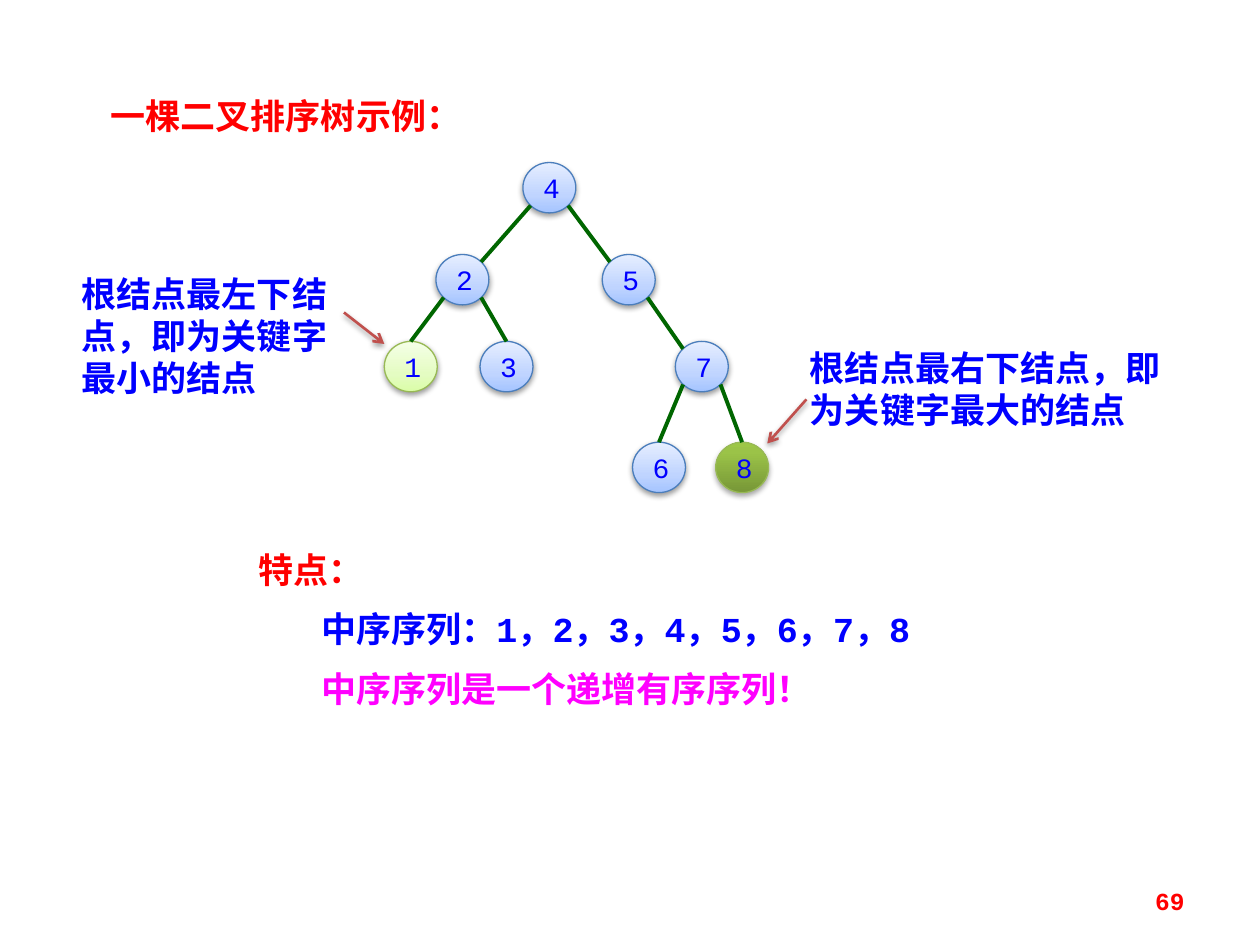
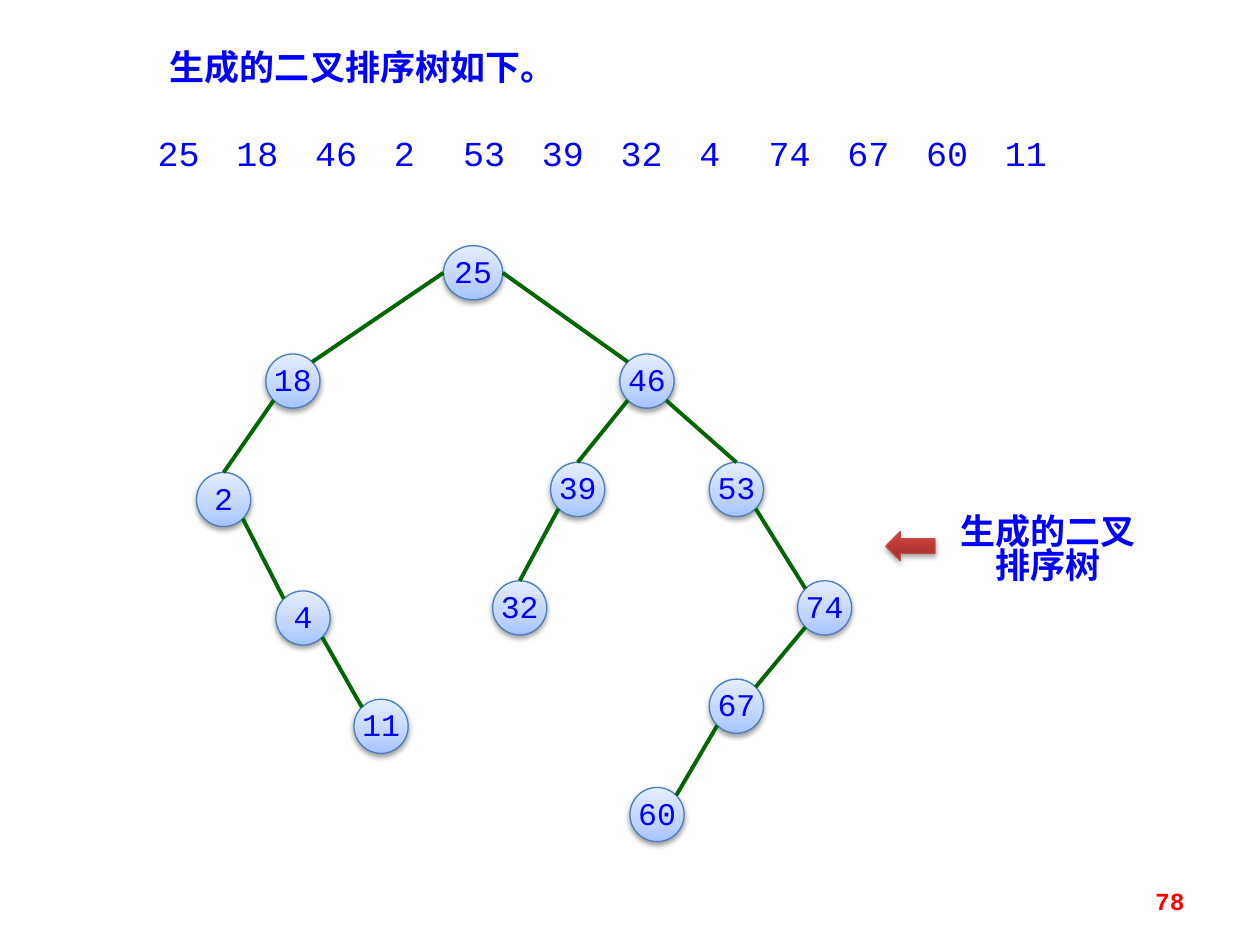
import pptx
import pptx.util
import pptx.dml.color
import pptx.enum.shapes
import pptx.enum.text
import pptx.oxml
import pptx.oxml.ns
import lxml.etree

Inches = pptx.util.Inches
Pt = pptx.util.Pt
qn = pptx.oxml.ns.qn
color = pptx.dml.color.RGBColor.from_string
Shapes = pptx.enum.shapes.MSO_SHAPE
STRAIGHT = pptx.enum.shapes.MSO_CONNECTOR.STRAIGHT
Align = pptx.enum.text.PP_ALIGN
MIDDLE = pptx.enum.text.MSO_ANCHOR.MIDDLE

LATIN, CHINESE = "Courier New", "Noto Sans CJK SC"
BLUE, RED, MAGENTA, GREEN = "0000FF", "FF0000", "FF00FF", "006600"

# Gradient stops run from the bottom upwards
SOFT_SHADOW, STRONG_SHADOW = (38, 20000), (35, 23000)
BLUE_NODE = ("4B7EBC", [(0, "A4C4FF"), (35, "BFD4FF"), (100, "E6EEFF")], SOFT_SHADOW)
LIGHT_NODE = ("98B955", [(0, "DAFDA7"), (35, "E4FCC2"), (100, "F5FFE7")], SOFT_SHADOW)
DARK_NODE = ("98B955", [(0, "779737"), (80, "9BC348"), (100, "9DC746")], STRONG_SHADOW)
RED_ARROW = ("BF4C48", [(0, "9C2F2D"), (80, "CB3E3A"), (100, "CE3B37")], STRONG_SHADOW)

# Points on a circle as fractions of its box
LOW, HIGH = 0.146, 0.854
SITES = {"top": (0.5, 0), "left": (0, 0.5), "right": (1, 0.5),
         "top left": (LOW, LOW), "top right": (HIGH, LOW),
         "bottom left": (LOW, HIGH), "bottom right": (HIGH, HIGH)}


def write(box, text, size, ink, bold=False, font=LATIN, align=Align.LEFT,
          spacing=None, side=0.1, new=False):
    """Put one paragraph into a box, or add one more when new is set."""
    frame = box.text_frame
    frame.word_wrap = True
    frame.margin_left = frame.margin_right = Inches(side)
    para = frame.add_paragraph() if new else frame.paragraphs[0]
    para.alignment = align
    if spacing:
        para.line_spacing = spacing
    span = para.add_run()
    span.text = text
    span.font.size = Pt(size)
    span.font.bold = bold
    span.font.name = font
    span.font.color.rgb = color(ink)
    east = lxml.etree.SubElement(span.font._element, qn("a:ea"))
    east.set("typeface", CHINESE)
    return para


def paint(item, outline, stops=None, shadow=None, width=0.75):
    """Give a shape or connector its line, gradient and shadow."""
    properties = item._element.spPr
    if stops:
        item.fill.gradient()
        item.fill.gradient_angle = 90
        stop_list = properties.find(qn("a:gradFill")).find(qn("a:gsLst"))
        for old_stop in list(stop_list):
            stop_list.remove(old_stop)
        for position, shade in stops:
            stop = lxml.etree.SubElement(stop_list, qn("a:gs"), pos=str(position * 1000))
            lxml.etree.SubElement(stop, qn("a:srgbClr"), val=shade)
    item.line.color.rgb = color(outline)
    item.line.width = Pt(width)
    effects = lxml.etree.SubElement(properties, qn("a:effectLst"))
    if shadow:
        opacity, distance = shadow
        cast = lxml.etree.SubElement(effects, qn("a:outerShdw"), blurRad="40000",
                                     dist=str(distance), dir="5400000", rotWithShape="0")
        black = lxml.etree.SubElement(cast, qn("a:srgbClr"), val="000000")
        lxml.etree.SubElement(black, qn("a:alpha"), val=str(opacity * 1000))


deck = pptx.Presentation()
deck.slide_width, deck.slide_height = Inches(10), Inches(7.5)

# Nodes: key, left, top; edges: parent, its site, child, its site
example_tree = {
    "number": "69", "title": ("一棵二叉排序树示例：", 0.78, 0.7, 3.05, RED),
    "node": (0.42, 0.4), "text": {"size": 16},
    "nodes": [(4, 4.15, 1.29), (2, 3.46, 2.02), (1, 3.05, 2.71), (3, 3.81, 2.71),
              (5, 4.78, 2.02), (7, 5.36, 2.71), (6, 5.02, 3.51), (8, 5.68, 3.51)],
    "looks": {1: LIGHT_NODE, 8: DARK_NODE},
    "edges": [(4, "bottom left", 2, "top right"), (2, "bottom left", 1, "top"),
              (2, "bottom right", 3, "top"), (4, "bottom right", 5, "top left"),
              (5, "bottom right", 7, "top left"), (7, "bottom left", 6, "top"),
              (7, "bottom right", 8, "top")]}
generated_tree = {
    "number": "78", "title": ("生成的二叉排序树如下。", 1.25, 0.31, 3.67, BLUE),
    "node": (0.43, 0.43), "text": {"size": 18, "align": Align.CENTER, "side": 0},
    "nodes": [(25, 3.52, 1.95), (18, 2.11, 2.81), (2, 1.56, 3.75), (46, 4.92, 2.81),
              (4, 2.19, 4.69), (11, 2.81, 5.55), (39, 4.37, 3.67), (53, 5.63, 3.67),
              (32, 3.91, 4.61), (74, 6.33, 4.61), (67, 5.63, 5.39), (60, 5, 6.25)],
    "looks": {},
    "edges": [(25, "left", 18, "top right"), (18, "bottom left", 2, "top"),
              (25, "right", 46, "top left"), (2, "bottom right", 4, "top left"),
              (4, "bottom right", 11, "top left"), (46, "bottom left", 39, "top"),
              (46, "bottom right", 53, "top"), (39, "bottom left", 32, "top"),
              (53, "bottom right", 74, "top left"), (74, "bottom left", 67, "top right"),
              (67, "bottom left", 60, "top right")]}

# Shared parts: title, tree and page number
pages = []
for tree in (example_tree, generated_tree):
    page = deck.slides.add_slide(deck.slide_layouts[6])
    pages.append(page)
    title, left, top, width, ink = tree["title"]
    box = page.shapes.add_textbox(Inches(left), Inches(top), Inches(width), Inches(0.44))
    write(box, title, 20, ink, bold=True)

    circles = {}
    for key, left, top in tree["nodes"]:
        width, height = tree["node"]
        if key == 25:
            width = 0.47
        circle = page.shapes.add_shape(Shapes.OVAL, Inches(left), Inches(top),
                                       Inches(width), Inches(height))
        paint(circle, *tree["looks"].get(key, BLUE_NODE))
        write(circle, str(key), ink=BLUE, spacing=Pt(19.2), **tree["text"])
        circle.text_frame.vertical_anchor = MIDDLE
        if tree is generated_tree:
            circle.text_frame.word_wrap = False
        circles[key] = circle

    for parent, parent_site, child, child_site in tree["edges"]:
        ends = []
        for key, site in ((parent, parent_site), (child, child_site)):
            circle, (across, down) = circles[key], SITES[site]
            ends += [int(circle.left + across * circle.width),
                     int(circle.top + down * circle.height)]
        edge = page.shapes.add_connector(STRAIGHT, *ends)
        paint(edge, GREEN, width=2.25)

    box = page.shapes.add_textbox(Inches(7.17), Inches(6.95), Inches(2.33), Inches(0.4))
    write(box, tree["number"], 14, RED, bold=True, align=Align.RIGHT)
    box.text_frame.vertical_anchor = MIDDLE

example_page, generated_page = pages

# Notes on the smallest and largest nodes
for note, left, top, width, height in [
        ("根结点最左下结点，即为关键字最小的结点", 0.55, 2.11, 2.19, 1.11),
        ("根结点最右下结点，即为关键字最大的结点", 6.33, 2.7, 3.13, 0.77)]:
    box = example_page.shapes.add_textbox(Inches(left), Inches(top),
                                          Inches(width), Inches(height))
    write(box, note, 20, BLUE, bold=True)

for ends in [(6.4, 3.17, 6.09, 3.52), (2.73, 2.48, 3.05, 2.73)]:
    pointer = example_page.shapes.add_connector(STRAIGHT, *map(Inches, ends))
    paint(pointer, "C0504D", shadow=SOFT_SHADOW, width=1.5)
    lxml.etree.SubElement(pointer.line._ln, qn("a:tailEnd"), type="arrow")

# Features of the tree
box = example_page.shapes.add_textbox(Inches(1.95), Inches(4.3), Inches(5.86), Inches(1.45))
write(box, "特点：", 20, RED, bold=True, font=CHINESE)
for feature, ink, font in [("中序序列：1，2，3，4，5，6，7，8", BLUE, LATIN),
                           ("中序序列是一个递增有序序列！", MAGENTA, CHINESE)]:
    para = write(box, feature, 20, ink, bold=True, font=font, new=True)
    para.level = 1
    para.space_before = Pt(10)
    indent = para._p.get_or_add_pPr()
    indent.set("marL", str(Inches(0.5)))
    indent.set("indent", "0")

# Input sequence: a one-digit key takes a narrower step
left = 1.25
for key in (25, 18, 46, 2, 53, 39, 32, 4, 74, 67, 60, 11):
    box = generated_page.shapes.add_textbox(Inches(left), Inches(1.06),
                                            Inches(0.39), Inches(0.37))
    write(box, str(key), 20, BLUE, spacing=0.8, side=0)
    left += 0.55 if key < 10 else 0.625

# Caption with its block arrow
box = generated_page.shapes.add_textbox(Inches(7.5), Inches(4.06), Inches(1.64), Inches(0.64))
write(box, "生成的二叉排序树", 20, BLUE, bold=True, font=CHINESE,
      align=Align.CENTER, spacing=0.8)
arrow = generated_page.shapes.add_shape(Shapes.LEFT_ARROW, Inches(7.03), Inches(4.22),
                                        Inches(0.39), Inches(0.23))
paint(arrow, *RED_ARROW)

deck.save("out.pptx")
